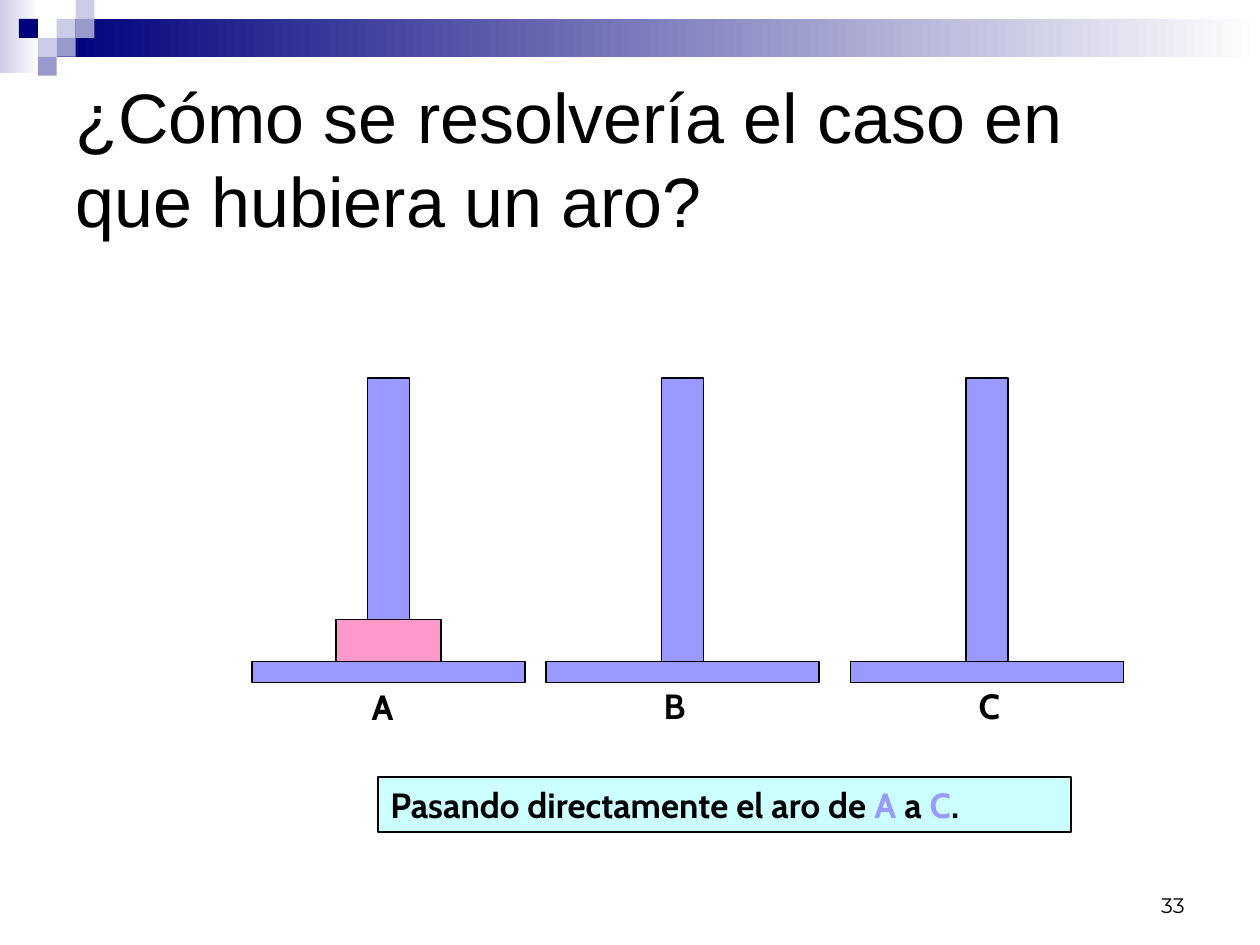
"""Build the slide that solves the one-ring case of the Tower of Hanoi."""
from dataclasses import dataclass

from pptx import Presentation
from pptx.dml.color import RGBColor
from pptx.enum.shapes import MSO_SHAPE
from pptx.enum.text import MSO_ANCHOR, MSO_AUTO_SIZE, PP_ALIGN
from pptx.util import Pt

RECTANGLE = MSO_SHAPE.RECTANGLE
TOP, MIDDLE, BOTTOM = MSO_ANCHOR.TOP, MSO_ANCHOR.MIDDLE, MSO_ANCHOR.BOTTOM
LEFT, RIGHT = PP_ALIGN.LEFT, PP_ALIGN.RIGHT
GROW = MSO_AUTO_SIZE.SHAPE_TO_FIT_TEXT


@dataclass(frozen=True)
class Theme:
    navy: str = "00007D"
    slate: str = "9999CC"
    mist: str = "CCCCE6"
    white: str = "FFFFFF"
    black: str = "000000"
    tower: str = "9999FF"
    ring: str = "FF99CC"
    answer: str = "CCFFFF"
    title_font: str = "Arial"
    body_font: str = "Cabin"
    number_font: str = "Montserrat"
    title_size: int = 40
    body_size: int = 20
    number_size: int = 12
    outline: float = 0.75


THEME = Theme()

TITLE = "¿Cómo se resolvería el caso en que hubiera un aro?"
ANSWER = [
    ("Pasando directamente el aro de ", THEME.black),
    ("A", THEME.tower),
    (" a ", THEME.black),
    ("C", THEME.tower),
    (".", THEME.black),
]
SLIDE_NUMBER = "33"

# name, tower left, label left, label top, label width
TOWERS = [
    ("A", 144, 205.2, 388.3, 28.1),
    ("B", 312, 372.2, 387.4, 27.4),
    ("C", 486, 552.2, 387.4, 26.6),
]
BASE_TOP, BASE_WIDTH, BASE_HEIGHT = 378, 156, 12
PEG_WIDTH, PEG_HEIGHT = 24, 162
RING_WIDTH, RING_HEIGHT = 60, 24

TILE = 10.8
FADES = [(0, 0, 22.3, 41.8, THEME.mist), (32.4, 10.8, 687.6, 21.6, THEME.navy)]
# column, row, colour
TILES = [
    (3, 1, THEME.mist),
    (4, 0, THEME.mist),
    (4, 1, THEME.slate),
    (2, 2, THEME.mist),
    (1, 1, THEME.navy),
    (3, 2, THEME.slate),
    (2, 3, THEME.slate),
]


def add_box(shapes, left, top, width, height, fill, outlined=False):
    box = shapes.add_shape(RECTANGLE, Pt(left), Pt(top), Pt(width), Pt(height))
    box.shadow.inherit = False
    box.fill.solid()
    box.fill.fore_color.rgb = RGBColor.from_string(fill)
    if outlined:
        box.line.color.rgb = RGBColor.from_string(THEME.black)
        box.line.width = Pt(THEME.outline)
    else:
        box.line.fill.background()
    return box


def add_fade(shapes, left, top, width, height, colour):
    fade = add_box(shapes, left, top, width, height, colour).fill
    fade.gradient()
    fade.gradient_angle = 180
    for stop, shade in zip(fade.gradient_stops, (THEME.white, colour)):
        stop.color.rgb = RGBColor.from_string(shade)


def write(holder, runs, font, size, bold=False, anchor=TOP, align=LEFT,
          wrap=True, grow=False):
    frame = holder.text_frame
    frame.word_wrap = wrap
    frame.vertical_anchor = anchor
    if grow:
        frame.auto_size = GROW
    paragraph = frame.paragraphs[0]
    paragraph.alignment = align
    paragraph.font.name = font
    paragraph.font.size = Pt(size)
    paragraph.font.bold = bold
    for words, colour in runs:
        run = paragraph.add_run()
        run.text = words
        run.font.color.rgb = RGBColor.from_string(colour)
    return paragraph


def add_text(shapes, left, top, width, height, words, font, size, **style):
    holder = shapes.add_textbox(Pt(left), Pt(top), Pt(width), Pt(height))
    write(holder, [(words, THEME.black)], font, size, **style)


def add_tower(shapes, left):
    tower = shapes.add_group_shape().shapes
    add_box(tower, left, BASE_TOP, BASE_WIDTH, BASE_HEIGHT, THEME.tower, True)
    add_box(tower, left + (BASE_WIDTH - PEG_WIDTH) / 2, BASE_TOP - PEG_HEIGHT,
            PEG_WIDTH, PEG_HEIGHT, THEME.tower, True)


def main():
    deck = Presentation()
    deck.slide_width, deck.slide_height = Pt(720), Pt(540)
    shapes = deck.slides.add_slide(deck.slide_layouts[6]).shapes

    banner = shapes.add_group_shape().shapes
    for fade in FADES:
        add_fade(banner, *fade)
    for column, row, colour in TILES:
        add_box(banner, column * TILE, row * TILE, TILE, TILE, colour)

    add_text(shapes, 36, 36, 648, 108, TITLE, THEME.title_font,
             THEME.title_size, anchor=MIDDLE)

    for _, left, *_ in TOWERS:
        add_tower(shapes, left)
    start = TOWERS[0][1]
    add_box(shapes, start + (BASE_WIDTH - RING_WIDTH) / 2,
            BASE_TOP - RING_HEIGHT, RING_WIDTH, RING_HEIGHT, THEME.ring, True)

    answer = add_box(shapes, 216, 444, 396, 31.5, THEME.answer, True)
    line = write(answer, ANSWER, THEME.body_font, THEME.body_size, bold=True,
                 grow=True)
    line.space_before = Pt(12.5)

    for name, _, left, top, width in TOWERS:
        add_text(shapes, left, top, width, 31.5, name, THEME.body_font,
                 THEME.body_size, bold=True, wrap=False, grow=True)

    add_text(shapes, 516, 492, 168, 36, SLIDE_NUMBER, THEME.number_font,
             THEME.number_size, anchor=BOTTOM, align=RIGHT)
    deck.save("out.pptx")


if __name__ == "__main__":
    main()
